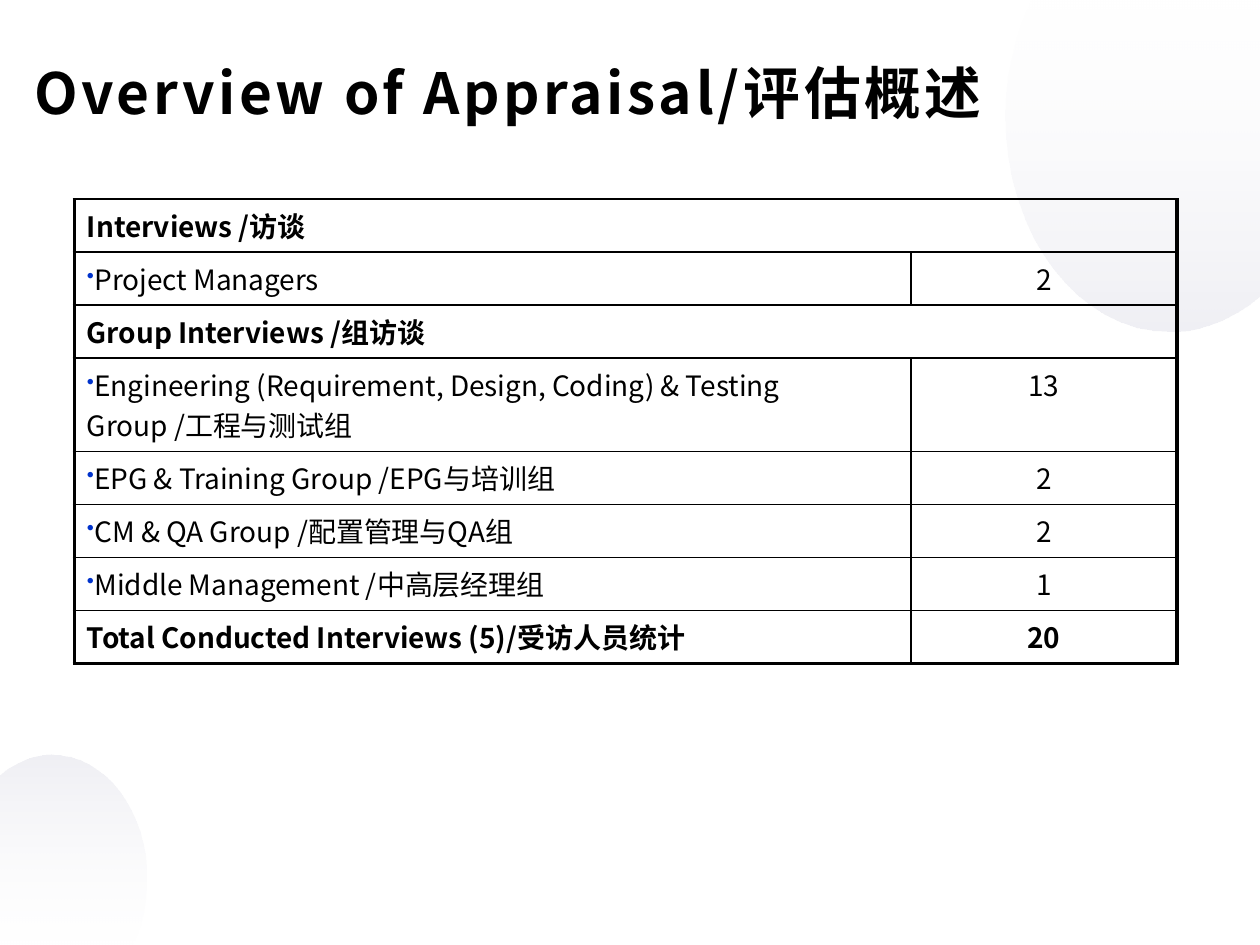
"""Build the appraisal overview slide with its table of interviews."""
from dataclasses import dataclass

from lxml.etree import SubElement
from pptx import Presentation
from pptx.dml.color import RGBColor as Rgb
from pptx.enum.text import MSO_ANCHOR as Anchor, MSO_AUTO_SIZE as AutoSize, PP_ALIGN as Align
from pptx.oxml.ns import qn
from pptx.util import Inches, Pt


@dataclass(frozen=True)
class Theme:
    font: str = "Noto Sans CJK SC"
    ink: str = "000000"
    bullet: str = "0033CC"
    pale: tuple = ("FFFFFF", 10)
    lilac: tuple = ("BEBED2", 24)
    title_size: float = 32.4
    body_size: float = 16
    thin: float = 1
    thick: float = 2.25


THEME = Theme()
SLIDE_WIDTH, SLIDE_HEIGHT = 10, 7.5
TITLE = "Overview of Appraisal/评估概述"
HEADING, ITEM, TOTAL = "heading", "item", "total"
ROWS = [
    (HEADING, "Interviews /访谈", "", 1),
    (ITEM, "Project Managers", "2", 1),
    (HEADING, "Group Interviews /组访谈", "", 1),
    (ITEM, "Engineering (Requirement, Design, Coding) & Testing Group /工程与测试组", "13", 2),
    (ITEM, "EPG & Training Group /EPG与培训组", "2", 1),
    (ITEM, "CM & QA Group /配置管理与QA组", "2", 1),
    (ITEM, "Middle Management /中高层经理组", "1", 1),
    (TOTAL, "Total Conducted Interviews (5)/受访人员统计", "20", 1),
]
COLUMN_WIDTHS = (6.64, 2.11)
TABLE_LEFT, TABLE_TOP = 0.59, 1.58
LINE_HEIGHT, CELL_PADDING = 0.32, 0.1
CLIPPED_ELLIPSES = [
    {
        "edges": [(8.19, 0), (10, 0), (10, 2.34), (9.9, 2.42)],
        "curves": [
            [(9.71, 2.55), (9.5, 2.63), (9.28, 2.63)],
            [(8.56, 2.63), (7.98, 1.87), (7.98, 0.92)],
            [(7.98, 0.63), (8.04, 0.35), (8.14, 0.11)],
        ],
        "colours": (THEME.pale, THEME.lilac),
    },
    {
        "edges": [(1.04, 7.5), (0, 7.5), (0, 6.16), (0.06, 6.11)],
        "curves": [
            [(0.16, 6.04), (0.29, 5.99), (0.41, 5.99)],
            [(0.83, 5.99), (1.16, 6.43), (1.16, 6.97)],
            [(1.16, 7.14), (1.13, 7.3), (1.07, 7.44)],
        ],
        "colours": (THEME.lilac, THEME.pale),
    },
]


def bend_segments(shape, first):
    """Turn every three line segments from the given one on into a curve."""
    outline = next(shape._element.iter(qn("a:path")))
    lines = outline.findall(qn("a:lnTo"))[first:]
    for start in range(0, len(lines) - 2, 3):
        curve = SubElement(outline, qn("a:cubicBezTo"))
        lines[start].addprevious(curve)
        for line in lines[start:start + 3]:
            curve.append(line[0])
            outline.remove(line)


def add_clipped_ellipse(page, edges, curves, colours):
    """Draw an ellipse cut off at the slide edges, shaded from top to bottom."""
    points = edges + [point for curve in curves for point in curve]
    start, *rest = [(Inches(x), Inches(y)) for x, y in points]
    builder = page.shapes.build_freeform(*start, scale=1.0)
    builder.add_line_segments(rest, close=True)
    shape = builder.convert_to_shape()
    bend_segments(shape, len(edges) - 1)
    shape.shadow.inherit = False
    shape.line.fill.background()
    shape.fill.gradient()
    shape.fill.gradient_angle = 270
    for stop, position, (colour, _) in zip(shape.fill.gradient_stops, (0, 1), colours):
        stop.position = position
        stop.color.rgb = Rgb.from_string(colour)
    for node, (_, opacity) in zip(shape._element.spPr.iter(qn("a:srgbClr")), colours):
        SubElement(node, qn("a:alpha"), val=str(opacity * 1000))


def add_span(para, text, size, bold):
    """Add one run in the theme font for Latin and Chinese text."""
    span = para.add_run()
    span.text = text
    span.font.size = Pt(size)
    span.font.bold = bold
    span.font.color.rgb = Rgb.from_string(THEME.ink)
    span.font.name = THEME.font
    SubElement(span._r.get_or_add_rPr(), qn("a:ea"), typeface=THEME.font)
    return span


def add_title(page):
    """Place and fill the title placeholder."""
    box = page.shapes.title
    box.left, box.top, box.width, box.height = map(Inches, (0.17, 0.42, 8.93, 0.5))
    frame = box.text_frame
    frame.auto_size = AutoSize.NONE
    frame.vertical_anchor = Anchor.TOP
    frame.margin_top = Inches(0.04)
    para = frame.paragraphs[0]
    para.alignment = Align.LEFT
    span = add_span(para, TITLE, THEME.title_size, True)
    span._r.get_or_add_rPr().set("spc", "200")


def add_bullet(para):
    """Give a paragraph a small coloured bullet without indent."""
    props = para._p.get_or_add_pPr()
    colour = SubElement(props, qn("a:buClr"))
    SubElement(colour, qn("a:srgbClr"), val=THEME.bullet)
    SubElement(props, qn("a:buSzPct"), val="75000")
    SubElement(props, qn("a:buChar"), char="•")


def frame_cell(cell, widths):
    """Draw the left, right, top and bottom borders and clear the fill."""
    props = cell._tc.get_or_add_tcPr()
    for side, width in zip("LRTB", widths):
        line = SubElement(props, qn(f"a:ln{side}"), w=str(Pt(width)))
        fill = SubElement(line, qn("a:solidFill"))
        SubElement(fill, qn("a:srgbClr"), val=THEME.ink)
    cell.fill.background()


def add_interview_table(page):
    """Add the table of interview groups and head counts."""
    heights = [lines * LINE_HEIGHT + CELL_PADDING for *_, lines in ROWS]
    size = (TABLE_LEFT, TABLE_TOP, sum(COLUMN_WIDTHS), sum(heights))
    table = page.shapes.add_table(len(ROWS), len(COLUMN_WIDTHS), *map(Inches, size)).table
    table.first_row = table.horz_banding = False
    for column, width in zip(table.columns, COLUMN_WIDTHS):
        column.width = Inches(width)
    for index, (kind, label, count, _) in enumerate(ROWS):
        table.rows[index].height = Inches(heights[index])
        label_cell, count_cell = table.rows[index].cells
        bottom = THEME.thick if kind == TOTAL else THEME.thin
        label_right = THEME.thick if kind == HEADING else THEME.thin
        frame_cell(label_cell, (THEME.thick, label_right, THEME.thin, bottom))
        frame_cell(count_cell, (THEME.thin, THEME.thick, THEME.thin, bottom))
        para = label_cell.text_frame.paragraphs[0]
        if kind == ITEM:
            add_bullet(para)
        add_span(para, label, THEME.body_size, kind != ITEM)
        if kind == HEADING:
            label_cell.merge(count_cell)
        else:
            para = count_cell.text_frame.paragraphs[0]
            para.alignment = Align.CENTER
            add_span(para, count, THEME.body_size, kind != ITEM)


def main():
    deck = Presentation()
    deck.slide_width, deck.slide_height = Inches(SLIDE_WIDTH), Inches(SLIDE_HEIGHT)
    page = deck.slides.add_slide(deck.slide_layouts.get_by_name("Title Only"))
    for ellipse in CLIPPED_ELLIPSES:
        add_clipped_ellipse(page, **ellipse)
    add_title(page)
    add_interview_table(page)
    deck.save("out.pptx")


if __name__ == "__main__":
    main()
